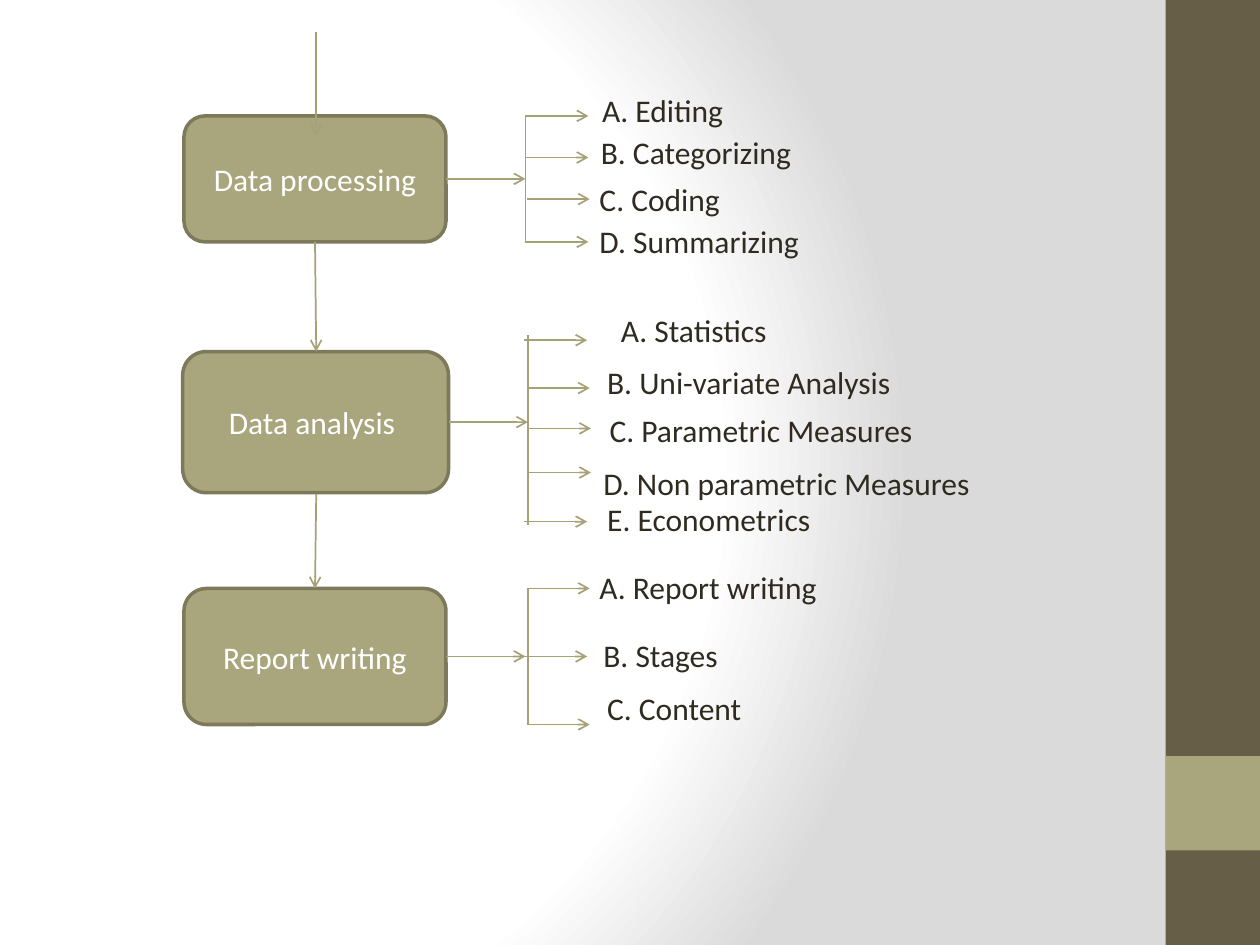
from lxml import etree
from pptx import Presentation
from pptx.dml.color import RGBColor
from pptx.enum.shapes import MSO_CONNECTOR, MSO_SHAPE
from pptx.enum.text import MSO_ANCHOR, MSO_AUTO_SIZE, PP_ALIGN
from pptx.oxml import parse_xml
from pptx.oxml.ns import qn
from pptx.util import Inches, Pt

STRAIGHT = MSO_CONNECTOR.STRAIGHT
RECTANGLE, ROUNDED = MSO_SHAPE.RECTANGLE, MSO_SHAPE.ROUNDED_RECTANGLE
MIDDLE, CENTER, GROW = MSO_ANCHOR.MIDDLE, PP_ALIGN.CENTER, MSO_AUTO_SIZE.SHAPE_TO_FIT_TEXT
color = RGBColor.from_string

BROWN, OLIVE, BORDER, ARROW = "675E47", "A9A57C", "7D7A5C", "A6A278"
WHITE, INK = "FFFFFF", "2F2B20"
FONT = {"name": "Calibri", "size": Pt(18)}
BRANCH_LENGTH = 0.5

BACKGROUND = """
<p:bg xmlns:p="http://schemas.openxmlformats.org/presentationml/2006/main"
      xmlns:a="http://schemas.openxmlformats.org/drawingml/2006/main">
  <p:bgPr>
    <a:gradFill rotWithShape="1">
      <a:gsLst>
        <a:gs pos="0"><a:srgbClr val="FFFFFF"/></a:gs>
        <a:gs pos="75000"><a:srgbClr val="FFFFFF"/></a:gs>
        <a:gs pos="100000"><a:srgbClr val="DADADA"/></a:gs>
      </a:gsLst>
      <a:path path="circle">
        <a:fillToRect l="20000" t="50000" r="100000" b="50000"/>
      </a:path>
    </a:gradFill>
    <a:effectLst/>
  </p:bgPr>
</p:bg>"""

# Each branch: arrow start x, arrow y, label left, label top, label width, label
STAGES = [
    {"name": "Data processing", "box": (1.46, 0.92, 2.08, 1),
     "link": (3.54, 1.42, 4.17, 1.42), "spine": (4.17, 0.92, 4.17, 1.92),
     "branches": [
         (4.17, 0.92, 4.68, 0.67, 3.16, "A. Editing"),
         (4.17, 1.25, 4.67, 1.01, 2.42, "B. Categorizing"),
         (4.18, 1.58, 4.66, 1.38, 2.74, "C. Coding"),
         (4.17, 1.92, 4.66, 1.71, 2.83, "D. Summarizing")]},
    {"name": "Data analysis ", "box": (1.45, 2.79, 2.11, 1.12),
     "link": (3.56, 3.35, 4.19, 3.35), "spine": (4.19, 2.66, 4.19, 4.17),
     "branches": [
         (4.16, 2.7, 4.83, 2.42, 2.25, "A. Statistics"),
         (4.18, 3.08, 4.72, 2.83, 2.49, "B. Uni-variate Analysis"),
         (4.19, 3.4, 4.74, 3.21, 3.03, "C. Parametric Measures"),
         (4.19, 3.75, 4.69, 3.63, 4, "D. Non parametric Measures"),
         (4.16, 4.14, 4.72, 3.92, 3.61, "E. Econometrics")]},
    {"name": "Report writing", "box": (1.46, 4.67, 2.08, 1.08),
     "link": (3.54, 5.21, 4.17, 5.21), "spine": (4.19, 4.67, 4.19, 5.75),
     "branches": [
         (4.18, 4.67, 4.66, 4.46, 4.4, "A. Report writing"),
         (4.16, 5.21, 4.69, 5, 3.25, "B. Stages"),
         (4.18, 5.75, 4.72, 5.42, 3.11, "C. Content")]},
]
FLOW_ARROWS = [(2.51, 0.25, 2.51, 1.08), (2.5, 1.92, 2.51, 2.79), (2.51, 3.92, 2.5, 4.67)]

prs = Presentation()
prs.slide_width, prs.slide_height = Inches(10), Inches(7.5)
slide = prs.slides.add_slide(prs.slide_layouts[6])
slide.element.cSld.insert(0, parse_xml(BACKGROUND))


def draw_line(ends, arrow=True):
    line = slide.shapes.add_connector(STRAIGHT, *map(Inches, ends))
    line.line.color.rgb = color(ARROW)
    line.line.width = Pt(1)
    if arrow:
        etree.SubElement(line.line._get_or_add_ln(), qn("a:tailEnd"), type="arrow")
    etree.SubElement(line.element.spPr, qn("a:effectLst"))


def write(shape, text, ink, frame_format):
    frame = shape.text_frame
    frame.text = text
    for name, value in frame_format.items():
        setattr(frame, name, value)
    font = frame.paragraphs[0].font
    for name, value in FONT.items():
        setattr(font, name, value)
    font.color.rgb = color(ink)


for top, height, fill in [(0, 7.5, BROWN), (6, 0.75, OLIVE)]:
    side_bar = slide.shapes.add_shape(
        RECTANGLE, Inches(9.25), Inches(top), Inches(0.75), Inches(height))
    side_bar.shadow.inherit = False
    side_bar.fill.solid()
    side_bar.fill.fore_color.rgb = color(fill)
    side_bar.line.fill.background()

for stage in STAGES:
    box = slide.shapes.add_shape(ROUNDED, *map(Inches, stage["box"]))
    box.shadow.inherit = False
    box.fill.solid()
    box.fill.fore_color.rgb = color(OLIVE)
    box.line.color.rgb = color(BORDER)
    box.line.width = Pt(2)
    write(box, stage["name"], WHITE, {"word_wrap": True, "vertical_anchor": MIDDLE})
    box.text_frame.paragraphs[0].alignment = CENTER

    draw_line(stage["link"])
    draw_line(stage["spine"], arrow=False)
    for start, y, left, top, width, text in stage["branches"]:
        draw_line((start, y, start + BRANCH_LENGTH, y))
        label = slide.shapes.add_textbox(
            Inches(left), Inches(top), Inches(width), Inches(0.4))
        write(label, text, INK, {"word_wrap": True, "auto_size": GROW})

for ends in FLOW_ARROWS:
    draw_line(ends)

prs.save("out.pptx")
